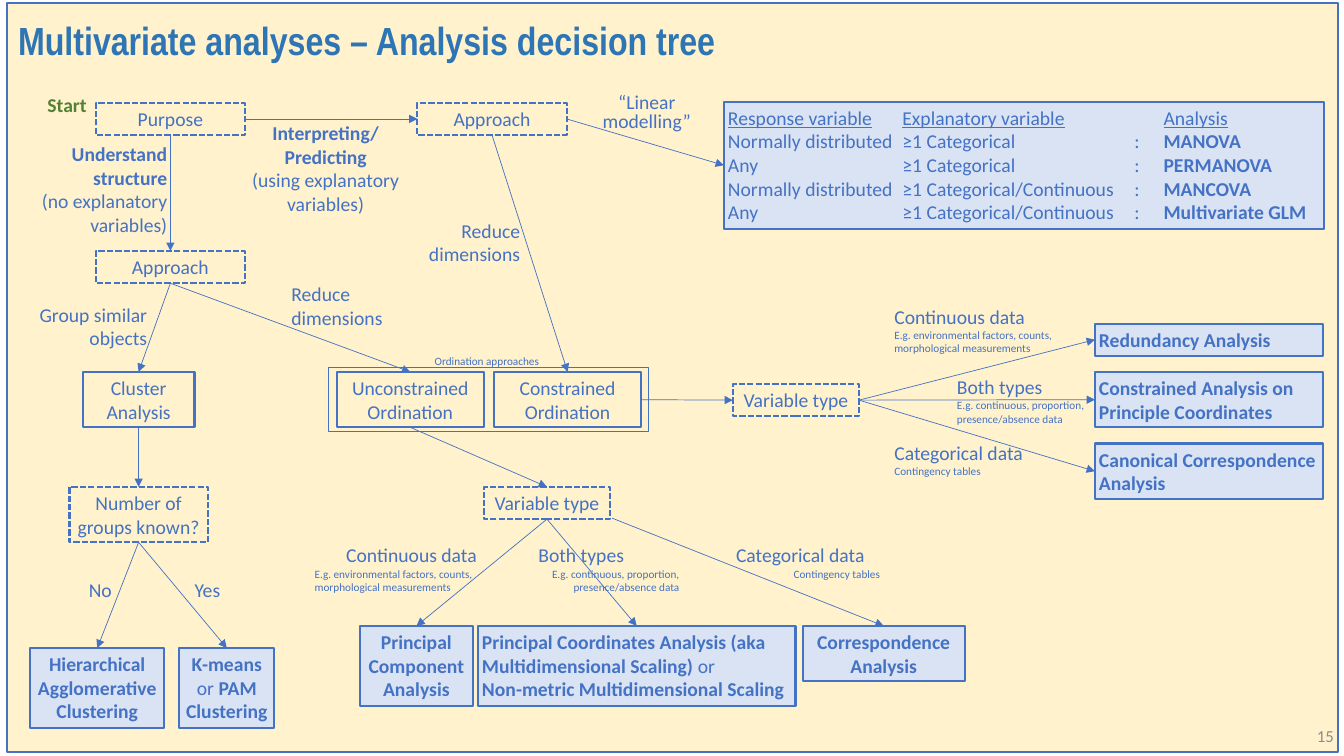
from dataclasses import dataclass

from lxml import etree
from pptx import Presentation
from pptx.dml.color import RGBColor
from pptx.enum.dml import MSO_LINE
from pptx.enum.shapes import MSO_CONNECTOR, MSO_SHAPE
from pptx.enum.text import MSO_ANCHOR, PP_ALIGN
from pptx.oxml.ns import qn
from pptx.util import Inches, Pt

LEFT, CENTER, RIGHT = PP_ALIGN.LEFT, PP_ALIGN.CENTER, PP_ALIGN.RIGHT
TOP, MIDDLE = MSO_ANCHOR.TOP, MSO_ANCHOR.MIDDLE
DASHED = MSO_LINE.SQUARE_DOT
RECTANGLE = MSO_SHAPE.RECTANGLE
STRAIGHT = MSO_CONNECTOR.STRAIGHT
NORTH, WEST, SOUTH, EAST = range(4)


@dataclass(frozen=True)
class Theme:
    """Colours, fonts and type sizes of the slide."""
    blue: str = "4472C4"
    title_blue: str = "2E75B6"
    green: str = "548235"
    grey: str = "8C8C8C"
    cream: str = "FFF2CC"
    pale: str = "DAE3F3"
    body_font: str = "Calibri"
    title_font: str = "Arial Narrow"
    title: int = 28
    body: int = 14
    number: int = 12
    note: int = 8
    margin: float = 0.04


THEME = Theme()


@dataclass
class Para:
    """A paragraph of (text, style) spans, where b is bold and u underlined."""
    spans: list
    align: int = LEFT
    size: int = THEME.body
    color: str = THEME.blue
    font: str = THEME.body_font
    spacing: float = 1.0


CONTINUOUS = ("Continuous data", "E.g. environmental factors, counts, morphological measurements")
BOTH = ("Both types", "E.g. continuous, proportion, presence/absence data")
CATEGORICAL = ("Categorical data", "Contingency tables")


def plain(text, align=LEFT, **look):
    """Make a paragraph of one regular span."""
    return Para([(text, "")], align, **look)


def bold(text, align=LEFT, **look):
    """Make a paragraph of one bold span."""
    return Para([(text, "b")], align, **look)


def place(area, left, top, width, height):
    """Give the lengths of a part lying inside an area."""
    return [Inches(length) for length in (area[0] + left, area[1] + top, width, height)]


def write(shape, paras, anchor=TOP):
    """Fill a shape with paragraphs run by run."""
    frame = shape.text_frame
    frame.word_wrap = True
    frame.vertical_anchor = anchor
    frame.margin_left = frame.margin_right = Inches(THEME.margin)
    frame.margin_top = frame.margin_bottom = Inches(THEME.margin)
    for index, para in enumerate(paras):
        target = frame.add_paragraph() if index else frame.paragraphs[0]
        target.alignment = para.align
        target.line_spacing = para.spacing
        for text, style in para.spans:
            span = target.add_run()
            span.text = text
            span.font.name = para.font
            span.font.size = Pt(para.size)
            span.font.color.rgb = RGBColor.from_string(para.color)
            span.font.bold = "b" in style
            span.font.underline = "u" in style


def label(page, area, spot, *paras, anchor=TOP):
    """Add free text at a spot of an area."""
    write(page.shapes.add_textbox(*place(area, *spot)), paras, anchor)


def box(page, area, spot, *paras, fill=None, dash=None, width=1.5):
    """Add a bordered box at a spot of an area."""
    shape = page.shapes.add_shape(RECTANGLE, *place(area, *spot))
    shape.shadow.inherit = False
    if fill:
        shape.fill.solid()
        shape.fill.fore_color.rgb = RGBColor.from_string(fill)
    else:
        shape.fill.background()
    shape.line.color.rgb = RGBColor.from_string(THEME.blue)
    shape.line.width = Pt(width)
    if dash:
        shape.line.dash_style = dash
    write(shape, paras)
    return shape


def question(page, area, spot, text):
    """Add a dashed decision box."""
    return box(page, area, spot, plain(text, CENTER), dash=DASHED)


def arrow(page, source, side, target, target_side, start=(0, 0)):
    """Join two boxes with an arrow, from a free point if there is no source."""
    line = page.shapes.add_connector(STRAIGHT, Inches(start[0]), Inches(start[1]), 0, 0)
    if source is not None:
        line.begin_connect(source, side)
    line.end_connect(target, target_side)
    line.line.color.rgb = RGBColor.from_string(THEME.blue)
    line.line.width = Pt(0.5)
    etree.SubElement(line.line._get_or_add_ln(), qn("a:tailEnd"), type="triangle")
    etree.SubElement(line._element.spPr, qn("a:effectLst"))


def data_label(page, area, spot, kind, head_align=LEFT, note_align=LEFT):
    """Name a kind of data with a small example below."""
    head, note = kind
    label(page, area, spot, plain(head, head_align), plain(note, note_align, size=THEME.note))


def background(page, area):
    """Draw the page panel, the title and the page number."""
    box(page, area, (0.07, 0.03, 13.2, 7.43), fill=THEME.cream, width=1)
    label(page, area, (0.14, 0.12, 13, 0.6),
          bold("Multivariate analyses – Analysis decision tree", size=THEME.title,
               color=THEME.title_blue, font=THEME.title_font, spacing=0.9), anchor=MIDDLE)
    label(page, area, (12.27, 7.1, 1, 0.4),
          plain("15", RIGHT, size=THEME.number, color=THEME.grey), anchor=MIDDLE)


def purpose_region(page, area):
    """Draw the starting question and return it with the modelling approach."""
    label(page, area, (0.1, 0.01, 0.55, 0.32), bold("Start", color=THEME.green))
    purpose = question(page, area, (0.62, 0.15, 1.48, 0.32), "Purpose")
    approach = question(page, area, (3.81, 0.15, 1.48, 0.32), "Approach")
    arrow(page, purpose, EAST, approach, WEST)
    label(page, area, (0, 0.5, 1.37, 1.02), bold("Understand structure", RIGHT),
          plain("(no explanatory variables)", RIGHT))
    label(page, area, (2.01, 0.29, 1.78, 1.02), bold("Interpreting/ Predicting", CENTER),
          plain("(using explanatory variables)", CENTER))
    label(page, area, (5.43, 0.03, 1.31, 0.46), plain("“Linear modelling”", CENTER, spacing=0.8))
    label(page, area, (3.53, 1.26, 1.34, 0.55), plain("Reduce dimensions", RIGHT))
    return purpose, approach


def modelling_panel(page, area):
    """Draw the panel of linear models with its columns on tab stops."""
    rows = [("Normally distributed", "≥1 Categorical", "MANOVA"),
            ("Any", "≥1 Categorical", "PERMANOVA"),
            ("Normally distributed", "≥1 Categorical/Continuous", "MANCOVA"),
            ("Any", "≥1 Categorical/Continuous", "Multivariate GLM")]
    paras = [Para([("Response variable", "u"), ("\t", ""), ("Explanatory variable", "u"),
                   ("\t\t", ""), ("Analysis", "u")])]
    paras += [Para([(f"{response}\t{explanatory}\t:\t", ""), (analysis, "b")])
              for response, explanatory, analysis in rows]
    panel = box(page, area, (0, 0, 5.95, 1.26), *paras, fill=THEME.pale)
    for para in panel.text_frame.paragraphs:
        stops = etree.SubElement(para._p.get_or_add_pPr(), qn("a:tabLst"))
        for stop in (1.73, 4.03, 4.32):
            etree.SubElement(stops, qn("a:tab"), pos=str(Inches(stop)), algn="l")
    return panel


def cluster_region(page, area):
    """Draw the clustering branch and return its approach box."""
    approach = question(page, area, (0.65, 0, 1.48, 0.32), "Approach")
    cluster = box(page, area, (0.52, 1.2, 1.11, 0.55), plain("Cluster Analysis", CENTER))
    groups = question(page, area, (0.39, 2.34, 1.37, 0.55), "Number of groups known?")
    hierarchical = box(page, area, (0, 3.94, 1.33, 0.79), bold("Hierarchical", CENTER),
                       bold("Agglomerative Clustering", CENTER), fill=THEME.pale)
    kmeans = box(page, area, (1.48, 3.94, 0.94, 0.79),
                 Para([("K-means ", "b"), ("or", ""), (" PAM Clustering", "b")], CENTER),
                 fill=THEME.pale)
    for source, target in ((approach, cluster), (cluster, groups),
                           (groups, hierarchical), (groups, kmeans)):
        arrow(page, source, SOUTH, target, NORTH)
    label(page, area, (-0.18, 0.47, 1.38, 0.55), plain("Group similar objects", RIGHT))
    label(page, area, (2.55, 0.27, 1.25, 0.55), plain("Reduce dimensions"))
    label(page, area, (0.22, 3.2, 0.63, 0.32), plain("No", RIGHT))
    label(page, area, (1.59, 3.2, 0.63, 0.32), plain("Yes"))
    return approach


def ordination_region(page, area):
    """Draw the pair of ordination approaches and return both."""
    label(page, area, (0.59, 0, 1.96, 0.21),
          plain("Ordination approaches", CENTER, size=THEME.note))
    box(page, area, (0, 0.18, 3.17, 0.63), width=0.75)
    return [box(page, area, (0.08 + 1.56 * index, 0.22, 1.46, 0.55),
                plain(f"{name} Ordination", CENTER))
            for index, name in enumerate(("Unconstrained", "Constrained"))]


def constrained_region(page, area):
    """Draw the analyses of constrained ordination and return their question."""
    variable = question(page, area, (0, 0.83, 1.25, 0.32), "Variable type")
    top = 0.23
    for name, height in (("Redundancy Analysis", 0.32),
                         ("Constrained Analysis on Principle Coordinates", 0.55),
                         ("Canonical Correspondence Analysis", 0.55)):
        result = box(page, area, (3.59, top, 2.26, height), bold(name), fill=THEME.pale)
        arrow(page, variable, EAST, result, WEST)
        top += height + 0.16
    data_label(page, area, (1.56, 0, 1.77, 0.58), CONTINUOUS)
    data_label(page, area, (2.18, 0.7, 1.41, 0.58), BOTH)
    data_label(page, area, (1.56, 1.35, 1.88, 0.45), CATEGORICAL)
    return variable


def unconstrained_region(page, area):
    """Draw the analyses of unconstrained ordination and return their question."""
    variable = question(page, area, (1.72, 0, 1.25, 0.32), "Variable type")
    component = box(page, area, (0.49, 1.38, 1.12, 0.79),
                    bold("Principal Component Analysis", CENTER), fill=THEME.pale)
    coordinates = box(page, area, (1.66, 1.38, 3.15, 0.79),
                      Para([("Principal Coordinates Analysis (aka Multidimensional Scaling) ", "b"),
                            ("or", "")]),
                      bold("Non-metric Multidimensional Scaling"), fill=THEME.pale)
    correspondence = box(page, area, (4.88, 1.38, 1.61, 0.55),
                         bold("Correspondence Analysis", CENTER), fill=THEME.pale)
    arrow(page, variable, SOUTH, component, NORTH)
    arrow(page, variable, SOUTH, coordinates, NORTH)
    arrow(page, None, SOUTH, correspondence, NORTH, (area[0] + 2.99, area[1] + 0.31))
    data_label(page, area, (0, 0.52, 1.69, 0.58), CONTINUOUS, head_align=RIGHT)
    data_label(page, area, (2.22, 0.52, 1.48, 0.58), BOTH, note_align=RIGHT)
    data_label(page, area, (4.18, 0.52, 1.51, 0.45), CATEGORICAL, note_align=RIGHT)
    return variable


def decision_tree(page):
    """Lay out the regions and join them."""
    background(page, (0, 0))
    purpose, modelling = purpose_region(page, (0.33, 0.87))
    panel = modelling_panel(page, (7.18, 1.01))
    grouping = cluster_region(page, (0.3, 2.49))
    unconstrained, constrained = ordination_region(page, (3.26, 3.47))
    constrained_type = constrained_region(page, (7.27, 2.98))
    unconstrained_type = unconstrained_region(page, (3.08, 4.83))
    arrow(page, modelling, EAST, panel, WEST)
    arrow(page, constrained, EAST, constrained_type, WEST)
    for source, target in ((purpose, grouping), (modelling, constrained),
                           (grouping, unconstrained), (unconstrained, unconstrained_type)):
        arrow(page, source, SOUTH, target, NORTH)


def main():
    """Build and save the deck."""
    deck = Presentation()
    deck.slide_width, deck.slide_height = Inches(13.33), Inches(7.5)
    decision_tree(deck.slides.add_slide(deck.slide_layouts[6]))
    deck.save("out.pptx")


if __name__ == "__main__":
    main()
